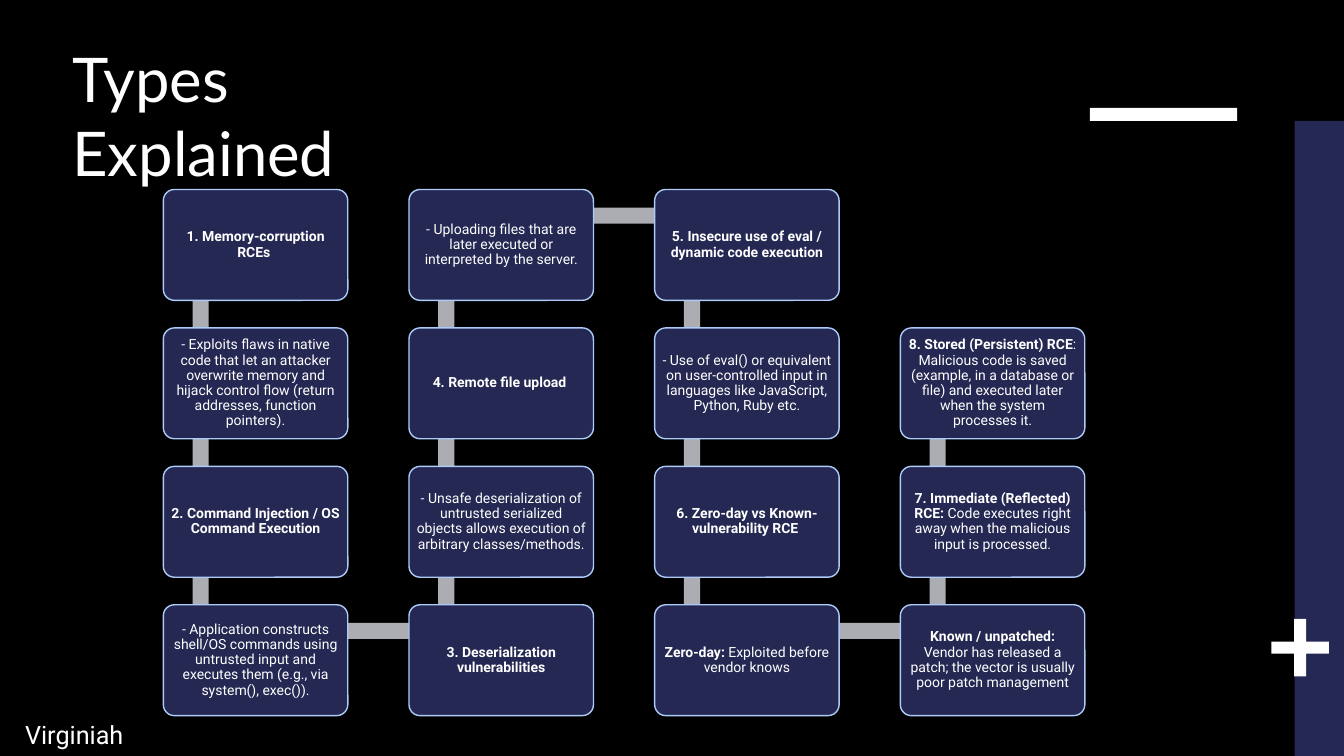
import math
from dataclasses import dataclass

import pptx
import pptx.dml.color
import pptx.enum.shapes
import pptx.enum.text
import pptx.util
from pptx.util import Inches

COLORS = {
    "black": "000000",
    "white": "FFFFFF",
    "navy": "242852",
    "outline": "ACCBF9",
    "gray": "ACADB3",
}
SHAPES = pptx.enum.shapes.MSO_SHAPE

# Grid of the winding flow, in inches
ROWS, COLUMNS = 4, 4
FIRST_LEFT, LAST_LEFT = 1.62, 8.93
FIRST_TOP, LAST_TOP = 1.88, 6.0
BOX_WIDTH, BOX_HEIGHT = 1.83, 1.1
BAR_OFFSET_X, BAR_OFFSET_Y, BAR_THICKNESS = 0.37, 0.26, 0.16


@dataclass
class Step:
    heading: str = ""
    detail: str = ""


@dataclass
class Block:
    kind: int
    left: float
    top: float
    width: float
    height: float
    fill: str
    adjustment: float | None = None
    rotation: float = 0


@dataclass
class Label:
    text: str
    left: float
    top: float
    width: float
    height: float
    font: str
    size: int


STEPS = [
    Step("1. Memory-corruption RCEs "),
    Step(detail="- Exploits flaws in native code that let an attacker overwrite memory "
                "and hijack control flow (return addresses, function pointers)."),
    Step("2. Command Injection / OS Command Execution"),
    Step(detail="- Application constructs shell/OS commands using untrusted input "
                "and executes them (e.g., via system(), exec())."),
    Step("3. Deserialization vulnerabilities"),
    Step(detail="- Unsafe deserialization of untrusted serialized objects allows "
                "execution of arbitrary classes/methods."),
    Step("4. Remote file upload "),
    Step(detail="- Uploading files that are later executed or interpreted by the server."),
    Step("5. Insecure use of eval / dynamic code execution"),
    Step(detail="- Use of eval() or equivalent on user-controlled input in languages "
                "like JavaScript, Python, Ruby etc."),
    Step("6. Zero-day vs Known-vulnerability RCE "),
    Step("Zero-day:", " Exploited before vendor knows"),
    Step("Known / unpatched:",
         " Vendor has released a patch; the vector is usually poor patch management"),
    Step("7. Immediate (Reflected) RCE:",
         " Code executes right away when the malicious input is processed."),
    Step("8. Stored (Persistent) RCE",
         ": Malicious code is saved (example, in a database or file) "
         "and executed later when the system processes it."),
]

DECORATIONS = [
    Block(SHAPES.RECTANGLE, 12.84, 1.2, 0.5, 6.3, "navy"),
    Block(SHAPES.RECTANGLE, 10.81, 1.07, 1.46, 0.13, "white"),
    Block(SHAPES.CROSS, 12.61, 6.14, 0.57, 0.57, "white", 0.395),
]

LABELS = [
    Label("Types Explained", 0.62, 0.36, 3.5, 4.4, "Lato", 44),
    Label("Virginiah", 0.15, 7.09, 3, 0.4, "Roboto", 18),
]


def color(name: str) -> pptx.dml.color.RGBColor:
    return pptx.dml.color.RGBColor.from_string(COLORS[name])


def style_run(run, font: str, size: int, bold: bool = False) -> None:
    run.font.name = font
    run.font.size = pptx.util.Pt(size)
    run.font.bold = bold
    run.font.color.rgb = color("white")


def draw_block(slide, block: Block):
    shape = slide.shapes.add_shape(
        block.kind, Inches(block.left), Inches(block.top),
        Inches(block.width), Inches(block.height))
    shape.shadow.inherit = False
    shape.fill.solid()
    shape.fill.fore_color.rgb = color(block.fill)
    shape.line.fill.background()
    shape.rotation = block.rotation
    if block.adjustment is not None:
        shape.adjustments[0] = block.adjustment
    return shape


def draw_label(slide, label: Label) -> None:
    box = slide.shapes.add_textbox(
        Inches(label.left), Inches(label.top), Inches(label.width), Inches(label.height))
    box.text_frame.word_wrap = True
    box.text_frame.text = label.text
    style_run(box.text_frame.paragraphs[0].runs[0], label.font, label.size)


def step_position(index: int) -> tuple[float, float]:
    """Down the even columns, up the odd ones."""
    column, row = divmod(index, ROWS)
    if column % 2:
        row = ROWS - 1 - row
    left = FIRST_LEFT + column * (LAST_LEFT - FIRST_LEFT) / (COLUMNS - 1)
    top = FIRST_TOP + row * (LAST_TOP - FIRST_TOP) / (ROWS - 1)
    return left, top


def draw_bar(slide, index: int) -> None:
    """Bar from one step to the next, turned towards it."""
    left, top = step_position(index)
    next_left, next_top = step_position(index + 1)
    length = math.dist((left, top), (next_left, next_top))
    center_x = (left + next_left) / 2 + BAR_OFFSET_X
    center_y = (top + next_top) / 2 + BAR_OFFSET_Y
    angle = math.degrees(math.atan2(next_top - top, next_left - left)) % 360
    draw_block(slide, Block(
        SHAPES.RECTANGLE, center_x - length / 2, center_y - BAR_THICKNESS / 2,
        length, BAR_THICKNESS, "gray", rotation=angle))


def draw_step(slide, index: int, step: Step) -> None:
    left, top = step_position(index)
    shape = draw_block(slide, Block(
        SHAPES.ROUNDED_RECTANGLE, left, top, BOX_WIDTH, BOX_HEIGHT, "navy", 0.1))
    shape.line.color.rgb = color("outline")
    shape.line.width = pptx.util.Pt(1)

    frame = shape.text_frame
    frame.word_wrap = True
    frame.vertical_anchor = pptx.enum.text.MSO_ANCHOR.MIDDLE
    frame.margin_left = frame.margin_right = Inches(0.04)
    frame.margin_top = frame.margin_bottom = Inches(0.04)
    frame.text = step.heading or step.detail
    paragraph = frame.paragraphs[0]
    paragraph.alignment = pptx.enum.text.PP_ALIGN.CENTER
    paragraph.line_spacing = 0.9
    style_run(paragraph.runs[0], "Roboto", 10, bold=bool(step.heading))
    if step.heading and step.detail:
        run = paragraph.add_run()
        run.text = step.detail
        style_run(run, "Roboto", 10)


def main() -> None:
    presentation = pptx.Presentation()
    presentation.slide_width = Inches(13.33)
    presentation.slide_height = Inches(7.5)
    slide = presentation.slides.add_slide(presentation.slide_layouts[6])
    slide.background.fill.solid()
    slide.background.fill.fore_color.rgb = color("black")

    # Title, author and decorations
    for label in LABELS:
        draw_label(slide, label)
    for block in DECORATIONS:
        draw_block(slide, block)

    # Flow of steps, each bar below the boxes it joins
    for index, step in enumerate(STEPS):
        if index < len(STEPS) - 1:
            draw_bar(slide, index)
        draw_step(slide, index, step)

    presentation.save("out.pptx")


if __name__ == "__main__":
    main()
